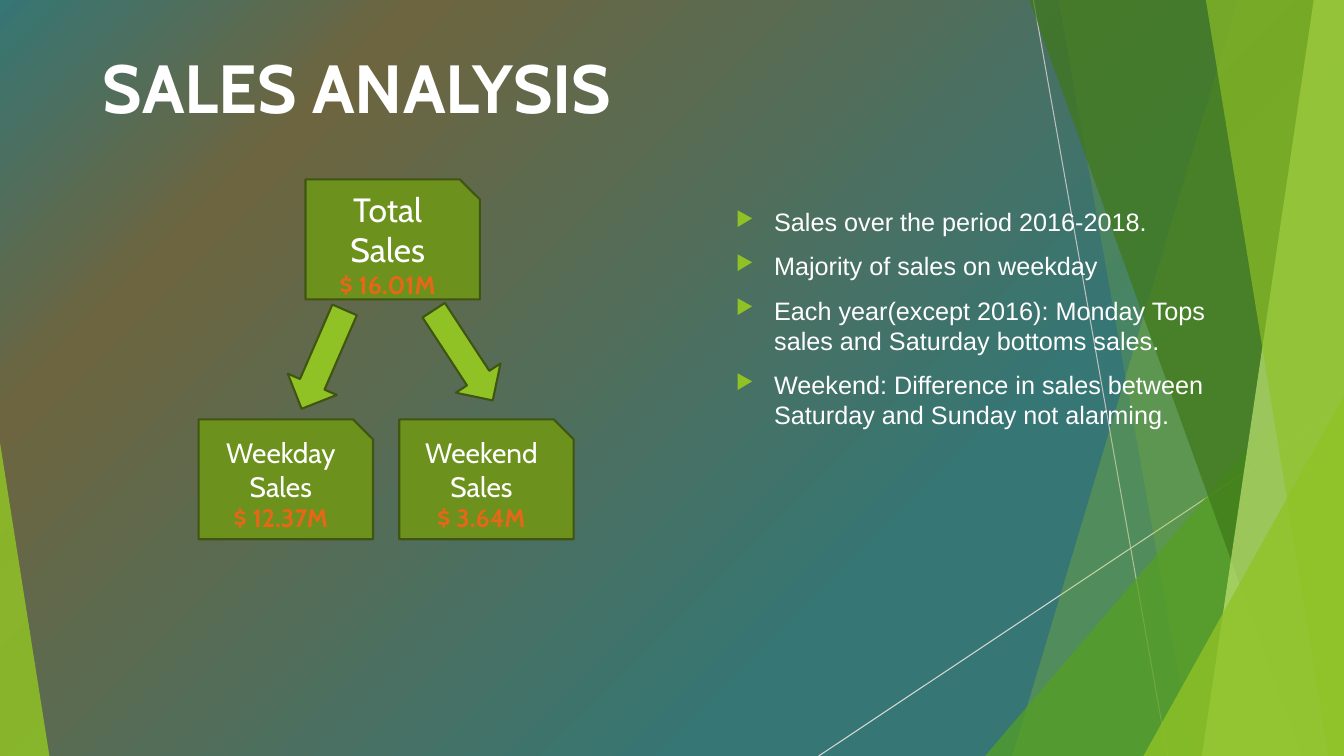
from dataclasses import dataclass

import lxml.etree
import pptx
import pptx.dml.color
import pptx.enum.dml
import pptx.enum.shapes
import pptx.enum.text
import pptx.oxml
import pptx.oxml.ns
import pptx.util

PX = 9144  # one hundred px to the inch
WIDE, HIGH = 1333, 750

Pt = pptx.util.Pt
SHAPE = pptx.enum.shapes.MSO_SHAPE
ANCHOR = pptx.enum.text.MSO_ANCHOR
ALIGN = pptx.enum.text.PP_ALIGN
qn = pptx.oxml.ns.qn
NS = pptx.oxml.ns.nsdecls("a")


@dataclass(frozen=True)
class Theme:
    # Colours
    white: str = "FFFFFF"
    lime: str = "90C226"
    leaf: str = "54A021"
    forest: str = "3F7819"
    pale: str = "C0E474"
    card: str = "6C921D"
    edge: str = "3F5511"
    price: str = "E76618"
    grey: str = "BFBFBF"
    silver: str = "D9D9D9"
    back: tuple = ((0, "367674"), (20, "6D6540"), (69, "367674"), (97, "367674"))
    # Fonts and type sizes
    head: str = "Cabin"
    body: str = "Arial"
    title: float = 48.6
    large: int = 24
    label: int = 20
    text: int = 18


def rgb(code):
    return pptx.dml.color.RGBColor.from_string(code)


def px(*sides):
    return [side * PX for side in sides]


class Deck:
    def __init__(self, theme):
        self.theme = theme
        self.file = pptx.Presentation()
        self.file.slide_width, self.file.slide_height = px(WIDE, HIGH)
        self.slide = self.file.slides.add_slide(self.file.slide_layouts[5])
        self.shapes = self.slide.shapes

    def back(self, stops):
        fill = self.slide.background.fill
        fill.gradient()
        fill.gradient_angle = 315
        stem = self.slide.background._cSld.find(".//" + qn("a:gsLst"))
        for old in list(stem):
            stem.remove(old)
        for place, code in stops:
            stem.append(pptx.oxml.parse_xml(
                f'<a:gs {NS} pos="{place * 1000}"><a:srgbClr val="{code}"/></a:gs>'))

    def font(self, font, size, code, face, bold=False):
        font.size, font.name, font.bold = Pt(size), face, bold
        font.color.rgb = rgb(code)

    def paint(self, shape, code, alpha=100, edge=None):
        shape.shadow.inherit = False
        shape.fill.solid()
        shape.fill.fore_color.rgb = rgb(code)
        if alpha < 100:
            tint = shape._element.spPr.find(qn("a:solidFill"))[0]
            lxml.etree.SubElement(tint, qn("a:alpha"), val=str(alpha * 1000))
        if edge:
            shape.line.color.rgb = rgb(edge)
            shape.line.width = Pt(1.5)
        else:
            shape.line.fill.background()

    def line(self, start, end, code):
        kind = pptx.enum.shapes.MSO_CONNECTOR.STRAIGHT
        line = self.shapes.add_connector(kind, *px(*start, *end))
        line.line.color.rgb = rgb(code)
        line.line.width = Pt(0.75)
        lxml.etree.SubElement(line._element.spPr, qn("a:effectLst"))

    def shard(self, points, code, alpha):
        pen = self.shapes.build_freeform(*points[0], scale=PX)
        pen.add_line_segments(points[1:], close=True)
        self.paint(pen.convert_to_shape(), code, alpha)

    def wedge(self, box, peak, code, alpha):
        wedge = self.shapes.add_shape(SHAPE.ISOSCELES_TRIANGLE, *px(*box))
        wedge.adjustments[0] = peak
        self.paint(wedge, code, alpha)

    def title(self, box, words):
        title = self.shapes.title
        title.left, title.top, title.width, title.height = px(*box)
        frame = title.text_frame
        frame.text = words
        frame.auto_size = pptx.enum.text.MSO_AUTO_SIZE.NONE
        frame.vertical_anchor = ANCHOR.TOP
        para = frame.paragraphs[0]
        para.alignment = ALIGN.LEFT
        run = para.runs[0]
        self.font(run.font, self.theme.title, self.theme.white, self.theme.head, True)
        # Soft shadow under the letters
        run._r.rPr.find(qn("a:solidFill")).addnext(pptx.oxml.parse_xml(
            f'<a:effectLst {NS}><a:outerShdw blurRad="38100" dist="38100" dir="2700000">'
            '<a:srgbClr val="000000"><a:alpha val="43000"/></a:srgbClr>'
            '</a:outerShdw></a:effectLst>'))

    def list(self, box, items):
        frame = self.shapes.add_textbox(*px(*box)).text_frame
        frame.word_wrap = True
        frame.text = "\n".join(items)
        for rank, para in enumerate(frame.paragraphs):
            props = para._p.get_or_add_pPr()
            props.set("marL", str(38 * PX))
            props.set("indent", str(-38 * PX))
            for mark in (f'<a:buClr {NS}><a:srgbClr val="{self.theme.lime}"/></a:buClr>',
                         f'<a:buSzPct {NS} val="80000"/>',
                         f'<a:buChar {NS} char="▶"/>'):
                props.append(pptx.oxml.parse_xml(mark))
            if rank:
                para.space_before = Pt(10)
            for run in para.runs:
                self.font(run.font, self.theme.text, self.theme.white, self.theme.body)

    def card(self, left, top, name, price, size):
        card = self.shapes.add_shape(SHAPE.SNIP_1_RECTANGLE, *px(left, top, 173, 119))
        self.paint(card, self.theme.card, edge=self.theme.edge)
        frame = card.text_frame
        frame.word_wrap = True
        frame.vertical_anchor = ANCHOR.MIDDLE
        frame.text = f"{name}\n{price}"
        looks = ((size, self.theme.white, False), (self.theme.text, self.theme.price, True))
        for para, (points, code, bold) in zip(frame.paragraphs, looks):
            para.alignment = ALIGN.CENTER
            self.font(para.runs[0].font, points, code, self.theme.head, bold)

    def arrow(self, left, top, turn):
        arrow = self.shapes.add_shape(SHAPE.DOWN_ARROW, *px(left, top, 53, 107))
        arrow.rotation = turn
        self.paint(arrow, self.theme.lime, edge=self.theme.edge)


def main():
    theme = Theme()
    deck = Deck(theme)
    deck.back(theme.back)

    # Facets: thin lines, then shards that all run to the right edge
    deck.line((1025, 0), (1158, HIGH), theme.grey)
    deck.line((WIDE, 403), (812, HIGH), theme.silver)

    def shard(top, foot, code, alpha):
        deck.shard([(top, 0), (WIDE, 0), (WIDE, HIGH), (foot, HIGH)], code, alpha)

    shard(1228, 1004, theme.lime, 30)
    shard(1050, 1183, theme.lime, 20)
    deck.wedge((977, 333, 356, 417), 1, theme.leaf, 72)
    shard(1021, 1291, theme.forest, 70)
    shard(1303, 1192, theme.pale, 70)
    shard(1196, 1318, theme.lime, 65)
    deck.wedge((1134, 393, 199, 357), 1, theme.lime, 80)
    deck.wedge((0, 439, 49, 311), 0, theme.lime, 85)

    # Title and findings
    deck.title((92, 40, 1150, 76), "SALES ANALYSIS")
    deck.list((720, 200, 522, 476), [
        "Sales over the period 2016-2018.",
        "Majority of sales on weekday",
        "Each year(except 2016): Monday Tops sales and Saturday bottoms sales.",
        "Weekend: Difference in sales between Saturday and Sunday not alarming.",
    ])

    # Sales tree
    deck.card(303, 178, "Total Sales", "$ 16.01M", theme.large)
    deck.card(197, 416, "Weekday Sales", "$ 12.37M", theme.label)
    deck.card(396, 416, "Weekend Sales", "$ 3.64M", theme.label)
    deck.arrow(294, 303, 23.5)
    deck.arrow(433, 299, 326.8)

    deck.file.save("out.pptx")


if __name__ == "__main__":
    main()
